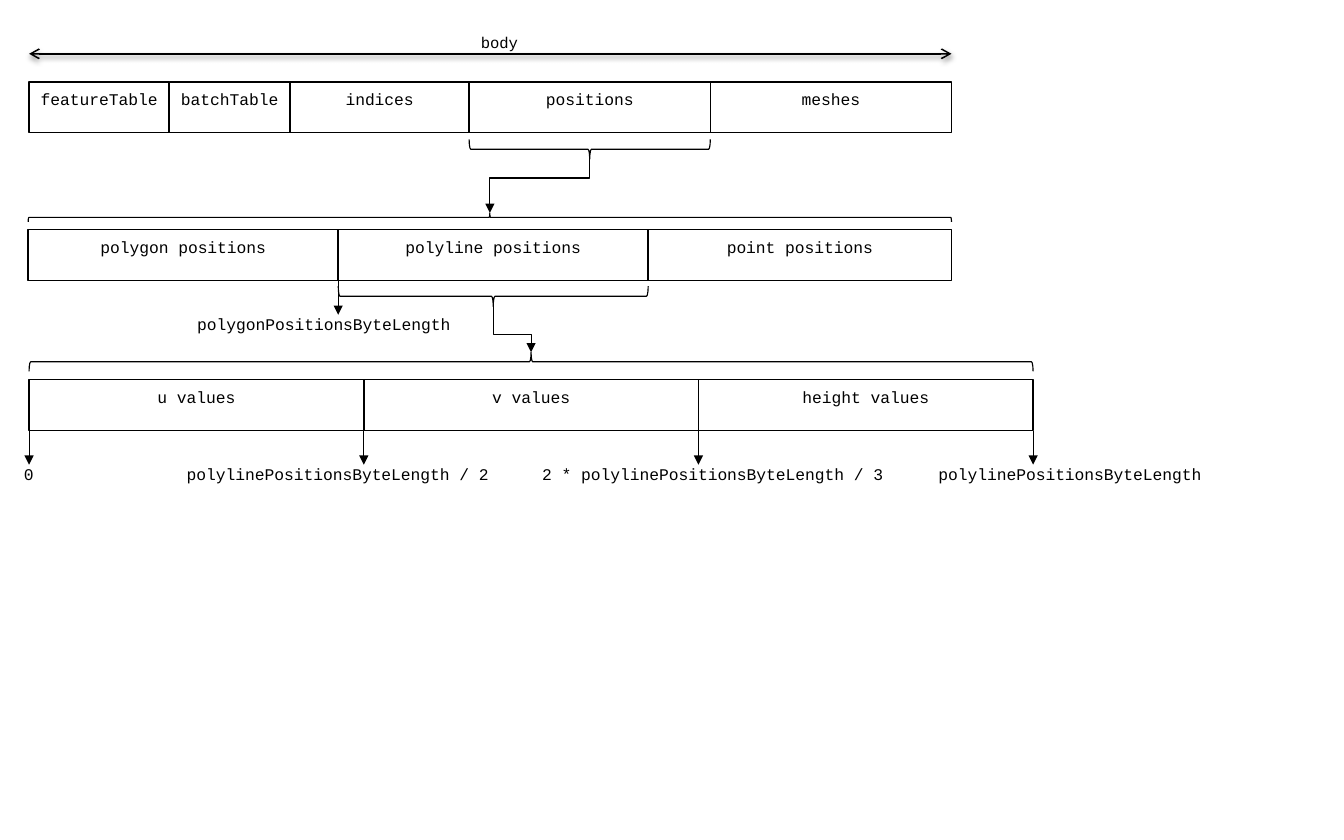
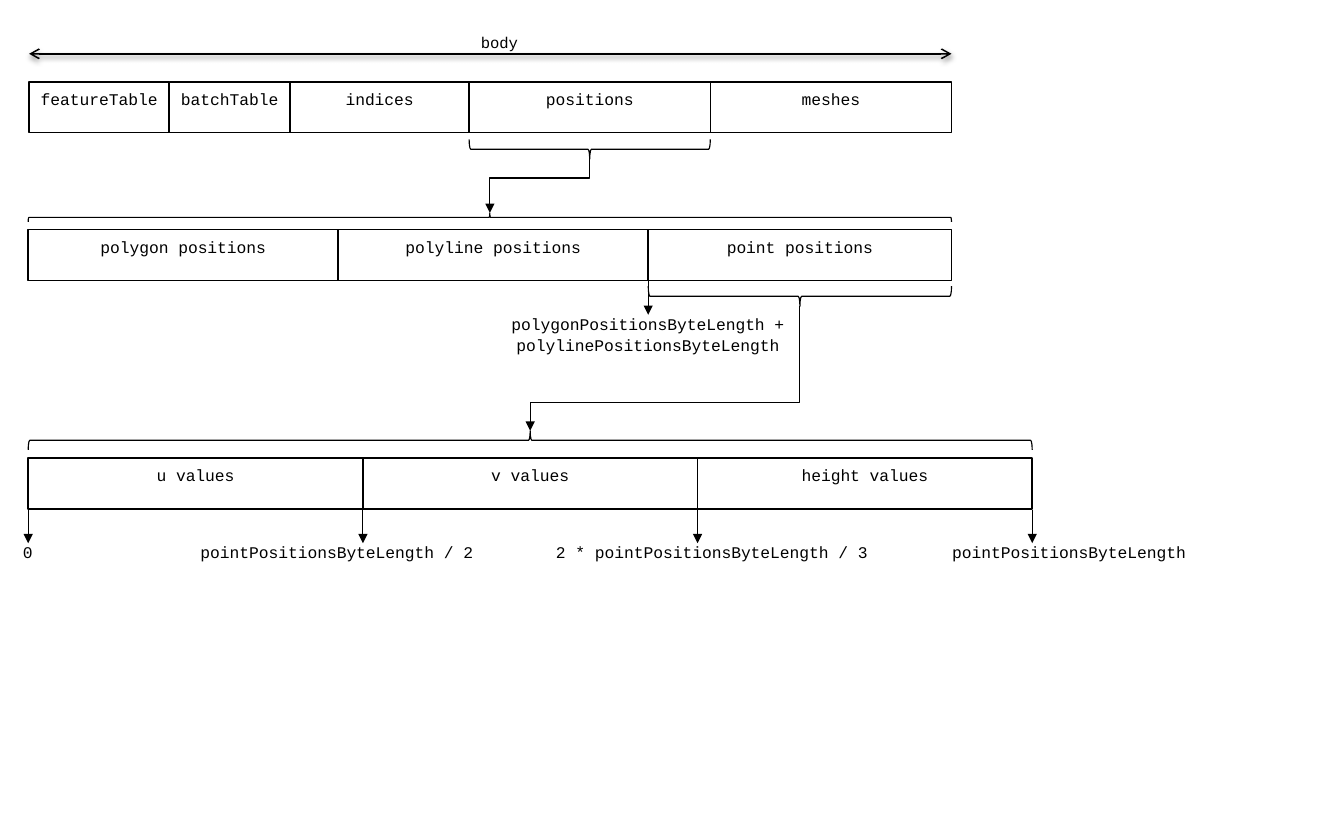
import pptx
import pptx.dml.color
import pptx.enum.shapes
import pptx.enum.text
import pptx.oxml.ns
import pptx.util
from dataclasses import dataclass
from itertools import accumulate
from lxml import etree

Cm = pptx.util.Cm
Pt = pptx.util.Pt
qn = pptx.oxml.ns.qn
Shapes = pptx.enum.shapes.MSO_SHAPE
Connectors = pptx.enum.shapes.MSO_CONNECTOR

BLACK = pptx.dml.color.RGBColor(0x00, 0x00, 0x00)
FONT = "Courier New"
CELL_HEIGHT = 1.15
BODY_WIDTHS = [3.18, 2.74, 4.06, 5.47, 5.47]
BODY_NAMES = ["featureTable", "batchTable", "indices", "positions", "meshes"]
POSITION_WIDTHS = [7.03, 7.03, 6.88]
POSITION_NAMES = ["polygon positions", "polyline positions", "point positions"]
VALUE_WIDTHS = [7.59] * 3
VALUE_NAMES = ["u values", "v values", "height values"]
MARKER_LABEL_BOXES = [(-0.15, 0.28), (2.2 + 1, 7.6), (11.3, 8.41), (19.53, 8.15)]
MARKER_LABEL_BOXES[1] = (3.2, 7.6)


@dataclass
class Row:
    left: float
    top: float
    widths: list

    @property
    def edges(self):
        return list(accumulate(self.widths, initial=self.left))


def write_text(shape, text, size=10.5):
    frame = shape.text_frame
    frame.text = text
    frame.word_wrap = True
    frame.vertical_anchor = pptx.enum.text.MSO_ANCHOR.TOP
    frame.margin_left = frame.margin_right = 0
    frame.margin_top = frame.margin_bottom = Cm(0.13)
    paragraph = frame.paragraphs[0]
    paragraph.alignment = pptx.enum.text.PP_ALIGN.CENTER
    paragraph.line_spacing = 1.07
    font = paragraph.runs[0].font
    font.name = FONT
    font.size = Pt(size)
    font.color.rgb = BLACK


def add_label(slide, text, left, top, width, height=CELL_HEIGHT, size=10.5):
    label = slide.shapes.add_textbox(Cm(left), Cm(top), Cm(width), Cm(height))
    write_text(label, text, size)


def add_outline(slide, kind, left, top, width, height, line_width):
    shape = slide.shapes.add_shape(kind, Cm(left), Cm(top), Cm(width), Cm(height))
    shape.shadow.inherit = False
    shape.fill.background()
    shape.line.color.rgb = BLACK
    shape.line.width = Pt(line_width)
    return shape


def add_cells(slide, row, names):
    for left, width, name in zip(row.edges, row.widths, names):
        cell = add_outline(slide, Shapes.RECTANGLE, left, row.top, width, CELL_HEIGHT, 1)
        write_text(cell, name)


def add_brace(slide, kind, rotation, left, top, span, depth):
    brace = add_outline(slide, kind, left + (span - depth) / 2,
                        top + (depth - span) / 2, depth, span, 0.75)
    brace.rotation = rotation
    return brace


def style_connector(connector, line_width, tail, head=None):
    connector.line.color.rgb = BLACK
    connector.line.width = Pt(line_width)
    line = connector.line._get_or_add_ln()
    if head:
        etree.SubElement(line, qn("a:headEnd"), type=head)
    etree.SubElement(line, qn("a:tailEnd"), type=tail)
    return etree.SubElement(connector.element.spPr, qn("a:effectLst"))


def add_line(slide, start, end, line_width, tail, head=None):
    connector = slide.shapes.add_connector(
        Connectors.STRAIGHT, *(Cm(value) for value in (*start, *end)))
    return style_connector(connector, line_width, tail, head)


def link_braces(slide, upper, lower, bend):
    start_x, end_x = (brace.left + brace.width // 2 for brace in (upper, lower))
    start_y = upper.top + (upper.height + upper.width) // 2
    end_y = lower.top + (lower.height - lower.width) // 2
    drop, shift = end_y - start_y, abs(end_x - start_x)
    connector = slide.shapes.add_connector(
        Connectors.ELBOW, start_x, start_y, end_x, end_y)
    connector.begin_connect(upper, 1)
    connector.end_connect(lower, 1)
    connector.left = (start_x + end_x - drop) // 2
    connector.top = (start_y + end_y - shift) // 2
    connector.width, connector.height = drop, shift
    properties = connector.element.spPr
    transform = properties.find(qn("a:xfrm"))
    transform.set("rot", "5400000")
    transform.set("flipH", "0")
    transform.set("flipV", "1" if end_x > start_x else "0")
    guides = properties.find(qn("a:prstGeom")).find(qn("a:avLst"))
    etree.SubElement(guides, qn("a:gd"), name="adj1", fmla=f"val {round(bend * 100000)}")
    style_connector(connector, 0.75, "triangle")


def add_marker(slide, row, edge, text, label_left, label_width):
    x = row.edges[edge]
    add_line(slide, (x, row.top + 1.17), (x, row.top + 1.93), 0.75, "triangle")
    add_label(slide, text, label_left, row.top + 1.75, label_width)


def add_body(slide, row):
    effects = add_line(slide, (row.left, row.top - 0.64), (row.edges[-1], row.top - 0.64),
                       1, "arrow", "arrow")
    shadow = etree.SubElement(effects, qn("a:outerShdw"), blurRad=str(Pt(3.1)),
                              dist=str(Pt(1.6)), dir="5400000", rotWithShape="0")
    color = etree.SubElement(shadow, qn("a:srgbClr"), val=str(BLACK))
    etree.SubElement(color, qn("a:alpha"), val="38000")
    add_label(slide, "body", row.left + 9.98, row.top - 1.28, 1.37, 0.69, 10)
    add_cells(slide, row, BODY_NAMES)
    return add_brace(slide, Shapes.LEFT_BRACE, 270, row.edges[3], row.top + 1.3,
                     row.widths[3], 0.45)


def add_positions(slide, row, selected, byte_length, label_width):
    upper = add_brace(slide, Shapes.RIGHT_BRACE, 270, row.left, row.top - 0.38,
                      sum(row.widths), 0.2)
    add_cells(slide, row, POSITION_NAMES)
    lower = add_brace(slide, Shapes.RIGHT_BRACE, 90, row.edges[selected], row.top + 1.28,
                      row.widths[selected], 0.46)
    return upper, lower


def add_values(slide, row, byte_length):
    brace = add_brace(slide, Shapes.RIGHT_BRACE, 270, row.left, row.top - 0.62,
                      sum(row.widths), 0.43)
    add_cells(slide, row, VALUE_NAMES)
    texts = ["0", f"{byte_length} / 2", f"2 * {byte_length} / 3", byte_length]
    for edge, (text, (offset, width)) in enumerate(zip(texts, MARKER_LABEL_BOXES)):
        add_marker(slide, row, edge, text, row.left + offset, width)
    return brace


def add_layout_slide(presentation, selected, start_text, start_left, start_width,
                     byte_length, values_left, values_top, bend):
    slide = presentation.slides.add_slide(presentation.slide_layouts[6])
    positions = Row(0.64, 5.21, POSITION_WIDTHS)
    body_brace = add_body(slide, Row(0.66, 1.86, BODY_WIDTHS))
    upper, lower = add_positions(slide, positions, selected, start_text, start_width)
    add_marker(slide, positions, selected, start_text, start_left, start_width)
    values_brace = add_values(slide, Row(values_left, values_top, VALUE_WIDTHS), byte_length)
    link_braces(slide, body_brace, upper, 0.35)
    link_braces(slide, lower, values_brace, bend)


def main():
    presentation = pptx.Presentation()
    presentation.slide_width = Cm(30.48)
    presentation.slide_height = Cm(19.05)
    add_layout_slide(presentation, 1, "polygonPositionsByteLength", 4.17, 6.35,
                     "polylinePositionsByteLength", 0.66, 8.61, 0.61)
    add_layout_slide(presentation, 2,
                     "polygonPositionsByteLength + polylinePositionsByteLength", 8.69, 12.01,
                     "pointPositionsByteLength", 0.64, 10.39, 0.77)
    presentation.save("out.pptx")


if __name__ == "__main__":
    main()
